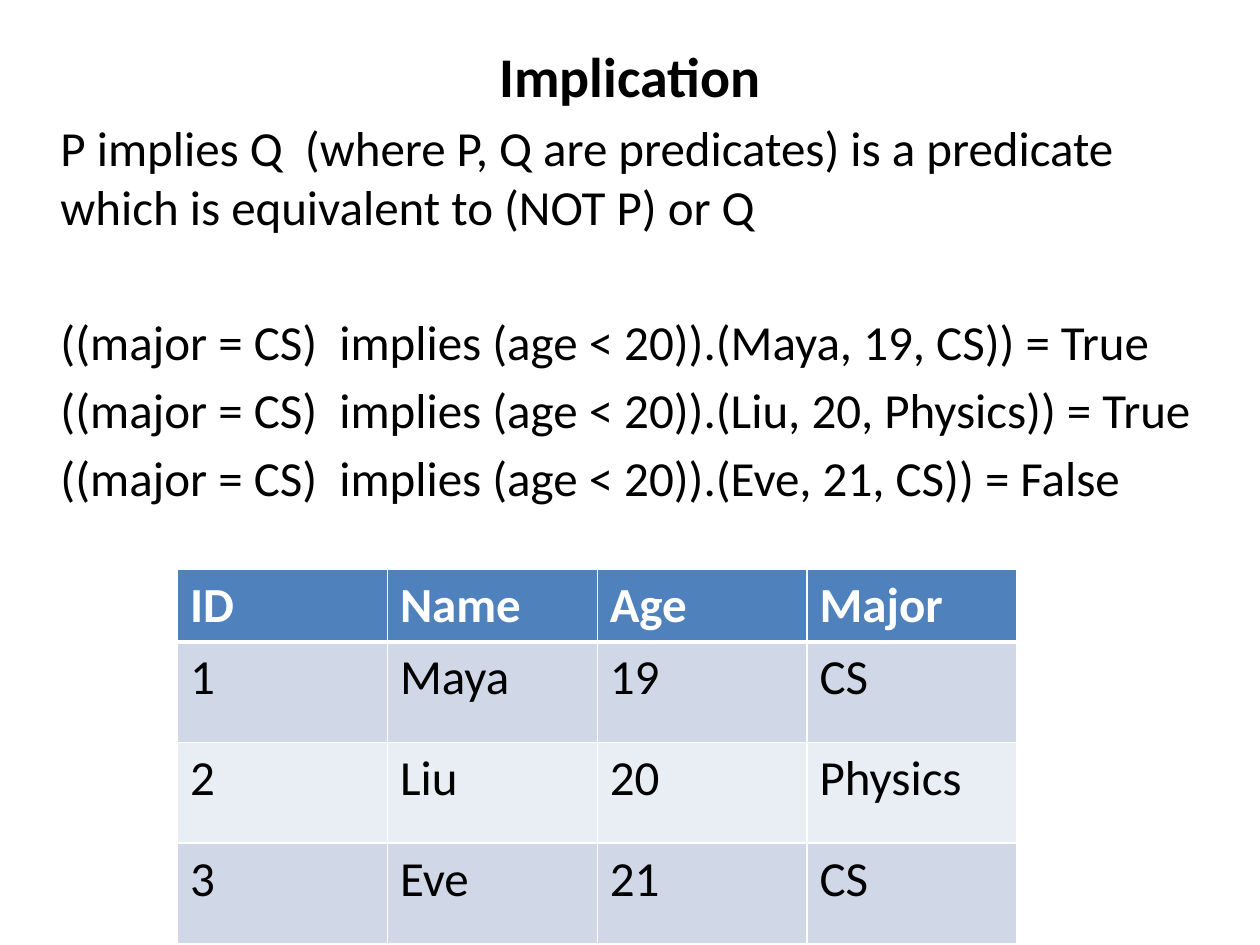
from dataclasses import dataclass

from lxml import etree
from pptx import Presentation
from pptx.dml.color import RGBColor
from pptx.enum.text import PP_ALIGN
from pptx.oxml.ns import qn
from pptx.util import Cm, Pt

LEFT, CENTER = PP_ALIGN.LEFT, PP_ALIGN.CENTER


@dataclass(frozen=True)
class Theme:
    """Font, type sizes in points and colours of the slide."""
    font: str = "Calibri"
    title_size: int = 32
    body_size: int = 28
    ink: str = "000000"
    paper: str = "FFFFFF"
    header: str = "4F81BD"
    bands: tuple = ("D0D8E8", "E9EDF4")


THEME = Theme()
TITLE = "Implication"
DEFINITION = ("P implies Q  (where P, Q are predicates) is a predicate "
              "which is equivalent to (NOT P) or Q")
EXAMPLES = [("Maya, 19, CS", True), ("Liu, 20, Physics", True), ("Eve, 21, CS", False)]
STUDENTS = [
    ("ID", "Name", "Age", "Major"),
    ("1", "Maya", "19", "CS"),
    ("2", "Liu", "20", "Physics"),
    ("3", "Eve", "21", "CS"),
]

BODY_BOX = (Cm(0.97), Cm(0.71), Cm(23.47), Cm(10.21))
TABLE_LEFT, TABLE_TOP = Cm(3.58), Cm(11.48)
COLUMN_WIDTH, HEADER_HEIGHT, ROW_HEIGHT = Cm(4.23), Cm(1.46), Cm(2.03)
PARAGRAPH_GAP, SECTION_GAP = 5, 44
THIN, THICK = 1, 3


def write(paragraph, text, size=THEME.body_size, color=THEME.ink, bold=False,
          align=LEFT, before=0):
    """Put formatted text into a paragraph."""
    paragraph.alignment = align
    paragraph.space_before = Pt(before)
    run = paragraph.add_run()
    run.text = text
    run.font.name = THEME.font
    run.font.size = Pt(size)
    run.font.bold = bold
    run.font.color.rgb = RGBColor.from_string(color)


def add_border(cell, side, width):
    """Draw one edge of a table cell."""
    properties = cell._tc.get_or_add_tcPr()
    line = etree.SubElement(properties, qn(f"a:ln{side}"), w=str(Pt(width)))
    fill = etree.SubElement(line, qn("a:solidFill"))
    etree.SubElement(fill, qn("a:srgbClr"), val=THEME.paper)


def add_body(slide):
    """Add the title, the definition and the worked examples."""
    frame = slide.shapes.add_textbox(*BODY_BOX).text_frame
    frame.word_wrap = True
    write(frame.paragraphs[0], TITLE, size=THEME.title_size, bold=True, align=CENTER)
    write(frame.add_paragraph(), DEFINITION, before=PARAGRAPH_GAP)
    for index, (student, result) in enumerate(EXAMPLES):
        write(frame.add_paragraph(),
              f"((major = CS)  implies (age < 20)).({student})) = {result}",
              before=PARAGRAPH_GAP if index else SECTION_GAP)


def add_students(slide):
    """Add the student table with a header and banded rows."""
    heights = [HEADER_HEIGHT] + [ROW_HEIGHT] * (len(STUDENTS) - 1)
    columns = len(STUDENTS[0])
    table = slide.shapes.add_table(len(STUDENTS), columns, TABLE_LEFT, TABLE_TOP,
                                   COLUMN_WIDTH * columns, sum(heights)).table
    for column in table.columns:
        column.width = COLUMN_WIDTH
    for index, (record, height) in enumerate(zip(STUDENTS, heights)):
        table.rows[index].height = height
        is_header = index == 0
        background = THEME.header if is_header else THEME.bands[(index - 1) % 2]
        edges = {"L": THIN, "R": THIN,
                 "T": THICK if index == 1 else THIN,
                 "B": THICK if is_header else THIN}
        for cell, value in zip(table.rows[index].cells, record):
            for side, width in edges.items():
                add_border(cell, side, width)
            cell.fill.solid()
            cell.fill.fore_color.rgb = RGBColor.from_string(background)
            write(cell.text_frame.paragraphs[0], value, bold=is_header,
                  color=THEME.paper if is_header else THEME.ink)


def main():
    """Build and save the slide."""
    deck = Presentation()
    deck.slide_width, deck.slide_height = Cm(25.4), Cm(19.05)
    slide = deck.slides.add_slide(deck.slide_layouts[6])
    add_body(slide)
    add_students(slide)
    deck.save("out.pptx")


main()
